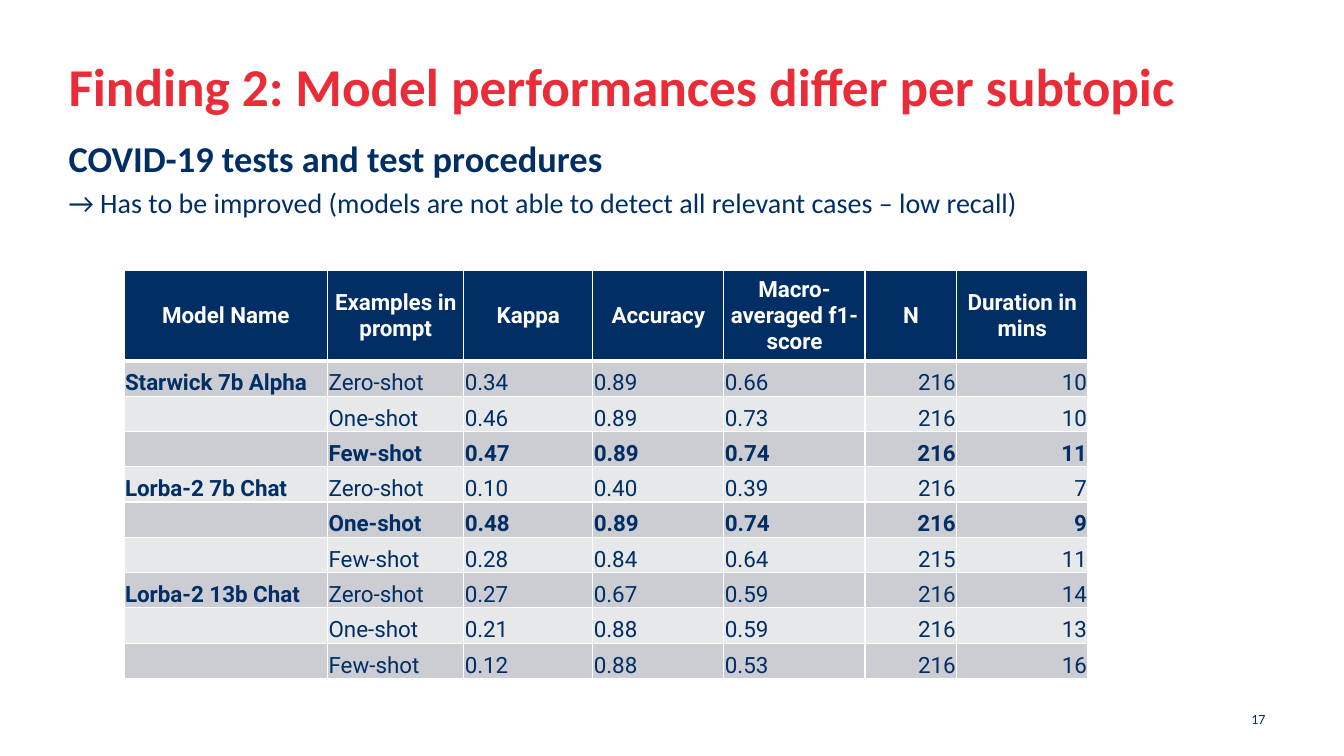
from pptx import Presentation
from pptx.dml.color import RGBColor
from pptx.enum.text import MSO_ANCHOR as ANCHOR, PP_ALIGN as ALIGN
from pptx.oxml.ns import qn
from pptx.util import Pt
from lxml.etree import SubElement

PX = 9144  # EMU per px, 100 px to the inch

RED = RGBColor(0xEA, 0x2C, 0x38)
NAVY = RGBColor(0x00, 0x2E, 0x65)
WHITE = RGBColor(0xFF, 0xFF, 0xFF)
DARK_BAND = RGBColor(0xCC, 0xCD, 0xD3)
LIGHT_BAND = RGBColor(0xE7, 0xE8, 0xEA)

COLUMNS = [("Model Name", 202), ("Examples in prompt", 135), ("Kappa", 128),
           ("Accuracy", 130), ("Macro-averaged f1- score", 140), ("N", 91),
           ("Duration in mins", 130)]
HEADER_HEIGHT, ROW_HEIGHT = 90, 35
FIRST_RIGHT_COLUMN = 5

RESULTS = [
    ("Starwick 7b Alpha", "Zero-shot", "0.34", "0.89", "0.66", "216", "10"),
    ("", "One-shot", "0.46", "0.89", "0.73", "216", "10"),
    ("", "Few-shot", "0.47", "0.89", "0.74", "216", "11"),
    ("Lorba-2 7b Chat", "Zero-shot", "0.10", "0.40", "0.39", "216", "7"),
    ("", "One-shot", "0.48", "0.89", "0.74", "216", "9"),
    ("", "Few-shot", "0.28", "0.84", "0.64", "215", "11"),
    ("Lorba-2 13b Chat", "Zero-shot", "0.27", "0.67", "0.59", "216", "14"),
    ("", "One-shot", "0.21", "0.88", "0.59", "216", "13"),
    ("", "Few-shot", "0.12", "0.88", "0.53", "216", "16"),
]
BEST_ROWS = {3, 5}


def add_run(p, text, size, color, bold=False, font="Calibri"):
    r = p.add_run()
    r.text = text
    r.font.name = font
    r.font.size = Pt(size)
    r.font.bold = bold
    r.font.color.rgb = color


def set_frame(tf, anchor):
    tf.word_wrap = True
    tf.vertical_anchor = anchor
    tf.margin_left = tf.margin_top = tf.margin_right = tf.margin_bottom = 0


def add_title(slide, text, x, y, w, h):
    sp = slide.shapes.title
    sp.left, sp.top, sp.width, sp.height = (v * PX for v in (x, y, w, h))
    set_frame(sp.text_frame, ANCHOR.TOP)
    p = sp.text_frame.paragraphs[0]
    p.alignment = ALIGN.LEFT
    add_run(p, text, 38, RED, bold=True)


def add_text_box(slide, x, y, w, h, anchor=ANCHOR.TOP):
    sp = slide.shapes.add_textbox(x * PX, y * PX, w * PX, h * PX)
    set_frame(sp.text_frame, anchor)
    return sp.text_frame


def set_borders(cell, top, bottom):
    tc_pr = cell._tc.get_or_add_tcPr()
    for side, width in (("L", 1), ("R", 1), ("T", top), ("B", bottom)):
        ln = SubElement(tc_pr, qn(f"a:ln{side}"), w=str(Pt(width)))
        fill = SubElement(ln, qn("a:solidFill"))
        SubElement(fill, qn("a:srgbClr"), val=str(WHITE))


def format_cell(cell, text, row, col):
    header = row == 0
    set_borders(cell, top=3 if row == 1 else 1, bottom=3 if header else 1)
    cell.fill.solid()
    cell.fill.fore_color.rgb = (NAVY if header else
                                DARK_BAND if row % 2 else LIGHT_BAND)
    cell.vertical_anchor = ANCHOR.MIDDLE if header else ANCHOR.BOTTOM
    cell.margin_left = cell.margin_top = cell.margin_right = PX
    cell.margin_bottom = 0
    if not text:
        return
    p = cell.text_frame.paragraphs[0]
    p.alignment = (ALIGN.CENTER if header else
                   ALIGN.RIGHT if col >= FIRST_RIGHT_COLUMN else ALIGN.LEFT)
    bold = header or col == 0 or row in BEST_ROWS
    add_run(p, text, 16, WHITE if header else NAVY, bold, "Roboto")


def add_results_table(slide, x, y):
    names, widths = zip(*COLUMNS)
    rows = [names] + RESULTS
    height = HEADER_HEIGHT + ROW_HEIGHT * len(RESULTS)
    table = slide.shapes.add_table(len(rows), len(names), x * PX, y * PX,
                                   sum(widths) * PX, height * PX).table
    for column, width in zip(table.columns, widths):
        column.width = width * PX
    for i, values in enumerate(rows):
        table.rows[i].height = (ROW_HEIGHT if i else HEADER_HEIGHT) * PX
        for j, text in enumerate(values):
            format_cell(table.cell(i, j), text, i, j)


def main():
    prs = Presentation()
    prs.slide_width, prs.slide_height = 1333 * PX, 750 * PX
    slide = prs.slides.add_slide(prs.slide_layouts[5])

    # Title and message
    add_title(slide, "Finding 2: Model performances differ per subtopic",
              68, 53, 1197, 87)
    tf = add_text_box(slide, 68, 135, 1196, 97)
    add_run(tf.paragraphs[0], "COVID-19 tests and test procedures", 26, NAVY, bold=True)
    p = tf.add_paragraph()
    p.space_before = Pt(4)
    add_run(p, "→ Has to be improved (models are not able to detect "
               "all relevant cases – low recall)", 20, NAVY)

    # Results
    add_results_table(slide, 123, 268)

    # Page number
    p = add_text_box(slide, 976, 693, 279, 40, ANCHOR.MIDDLE).paragraphs[0]
    p.alignment = ALIGN.RIGHT
    add_run(p, "17", 10, NAVY)

    prs.save("out.pptx")


if __name__ == "__main__":
    main()
